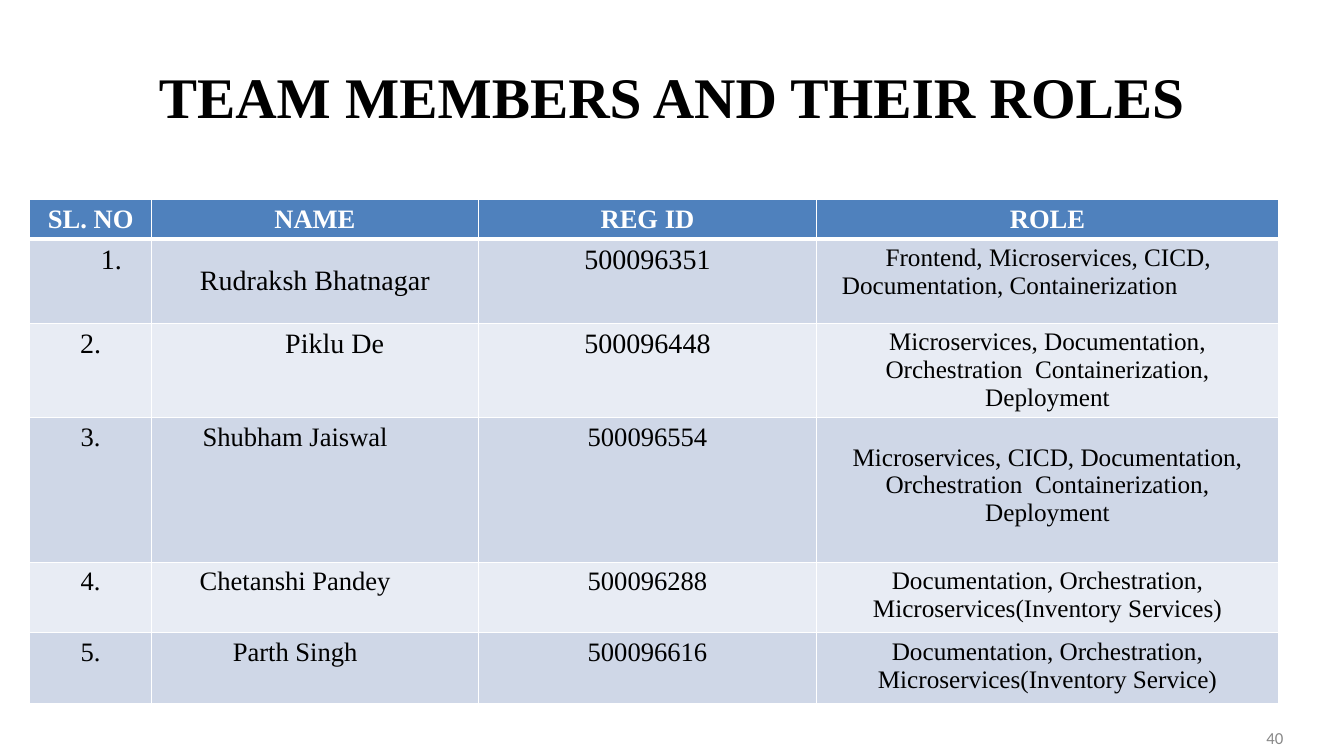
from lxml import etree
from pptx import Presentation
from pptx import util as u
from pptx.dml.color import RGBColor
from pptx.enum import text
from pptx.oxml.ns import qn

COLORS = {"white": "FFFFFF", "black": "000000", "gray": "888888",
          "header": "4F81BD", "odd": "CFD7E7", "even": "E8ECF4"}
HEADINGS = ["SL. NO", "NAME", "REG ID", "ROLE"]
MEMBERS = [
    ("1.", "Rudraksh Bhatnagar", "500096351",
     "Frontend, Microservices, CICD, Documentation, Containerization"),
    ("2.", "Piklu De", "500096448",
     "Microservices, Documentation, Orchestration  Containerization, Deployment"),
    ("3.", "Shubham Jaiswal", "500096554",
     "Microservices, CICD, Documentation, Orchestration  Containerization, Deployment"),
    ("4.", "Chetanshi Pandey", "500096288",
     "Documentation, Orchestration, Microservices(Inventory Services)"),
    ("5.", "Parth Singh", "500096616",
     "Documentation, Orchestration, Microservices(Inventory Service)"),
]
COL_WIDTHS = [3.07, 8.23, 8.53, 11.63]
ROW_HEIGHTS = [0.98, 2.12, 2.37, 3.65, 1.78, 1.78]
# Cells whose text is shifted by a wider margin: (row, column) -> side, cm
MARGINS = {(1, 0): ("left", 1.3), (1, 1): ("top", 0.66), (2, 1): ("left", 1.25),
           (3, 1): ("right", 1.25), (3, 3): ("top", 0.66),
           (4, 1): ("right", 1.25), (5, 1): ("right", 1.25)}


def rgb(name):
    return RGBColor.from_string(COLORS[name])


def write(tf, words, size, color="black", bold=False, font="Times New Roman",
          align=text.PP_ALIGN.CENTER):
    p = tf.paragraphs[0]
    p.alignment = align
    r = p.add_run()
    r.text = words
    r.font.name, r.font.size, r.font.bold = font, u.Pt(size), bold
    r.font.color.rgb = rgb(color)
    return p


class Deck:
    def __init__(self):
        self.prs = Presentation()
        self.prs.slide_width, self.prs.slide_height = u.Inches(13.333), u.Inches(7.5)
        self.s = self.prs.slides.add_slide(self.prs.slide_layouts[5])

    def title(self, words, left, top, width, height):
        sp = self.s.shapes.title
        sp.left, sp.top, sp.width, sp.height = map(u.Cm, (left, top, width, height))
        sp.text_frame.vertical_anchor = text.MSO_ANCHOR.MIDDLE
        write(sp.text_frame, words, 41, bold=True)

    def page_number(self, words, left, top, width, height):
        sp = self.s.shapes.add_textbox(*map(u.Cm, (left, top, width, height)))
        tf = sp.text_frame
        tf.word_wrap = True
        tf.vertical_anchor = text.MSO_ANCHOR.MIDDLE
        write(tf, words, 12, "gray", font="Calibri", align=text.PP_ALIGN.RIGHT)

    def borders(self, cell, top, bottom):
        """Draw white cell borders; top and bottom are widths in points."""
        tcPr = cell._tc.get_or_add_tcPr()
        for side, width in (("L", 1), ("R", 1), ("T", top), ("B", bottom)):
            ln = etree.SubElement(tcPr, qn(f"a:ln{side}"), w=str(u.Pt(width)))
            fill = etree.SubElement(ln, qn("a:solidFill"))
            etree.SubElement(fill, qn("a:srgbClr"), val=COLORS["white"])

    def table(self, rows, left, top):
        size = u.Cm(sum(COL_WIDTHS)), u.Cm(sum(ROW_HEIGHTS))
        tbl = self.s.shapes.add_table(len(rows), len(COL_WIDTHS),
                                      u.Cm(left), u.Cm(top), *size).table
        for column, width in zip(tbl.columns, COL_WIDTHS):
            column.width = u.Cm(width)
        for i, (row, height) in enumerate(zip(rows, ROW_HEIGHTS)):
            tbl.rows[i].height = u.Cm(height)
            for j, words in enumerate(row):
                self.cell(tbl.cell(i, j), i, j, words)

    def cell(self, cell, i, j, words):
        self.borders(cell, 3 if i == 1 else 1, 3 if i == 0 else 1)
        cell.fill.solid()
        if i == 0:
            cell.fill.fore_color.rgb = rgb("header")
            write(cell.text_frame, words, 19, "white", bold=True)
            return
        cell.fill.fore_color.rgb = rgb("odd" if i % 2 else "even")
        if (i, j) in MARGINS:
            side, margin = MARGINS[i, j]
            setattr(cell, f"margin_{side}", u.Cm(margin))
        p = write(cell.text_frame, words, 18 if j == 3 else 20 if i < 3 else 19)
        if (i, j) == (1, 3):
            p.alignment = text.PP_ALIGN.LEFT
            pPr = p._p.get_or_add_pPr()
            pPr.set("marL", str(u.Cm(0.38)))
            pPr.set("indent", str(u.Cm(1.1)))


def main():
    deck = Deck()
    deck.title("TEAM MEMBERS AND THEIR ROLES", 1.7, 0.81, 30.48, 3.18)
    deck.table([HEADINGS] + MEMBERS, 0.75, 5.03)
    deck.page_number("40", 24.69, 18.08, 7.9, 1.02)
    deck.prs.save("out.pptx")


if __name__ == "__main__":
    main()
